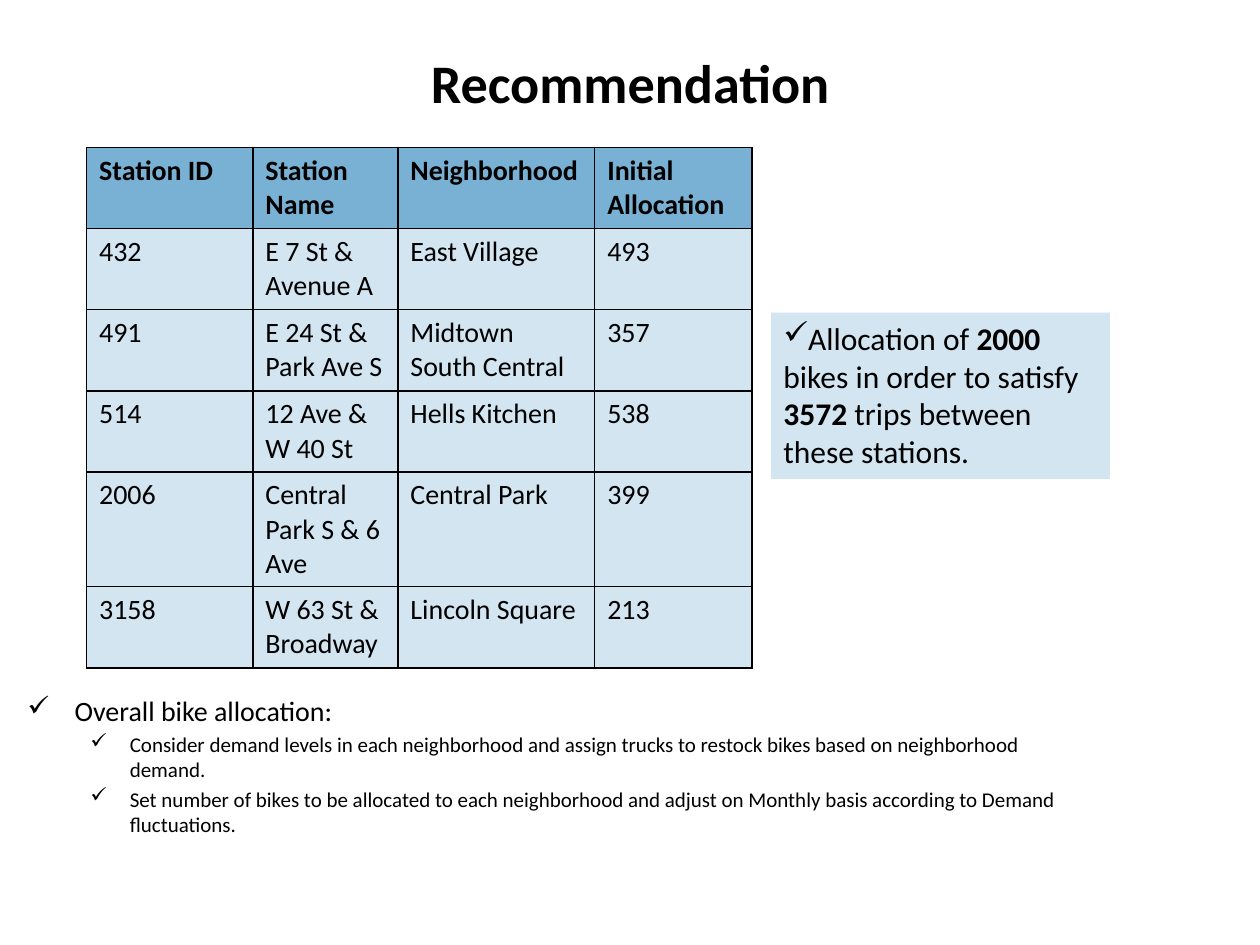
from pptx import Presentation
from pptx.dml.color import RGBColor
from pptx.enum.shapes import MSO_SHAPE
from pptx.enum.text import MSO_ANCHOR, PP_ALIGN
from pptx.oxml import parse_xml
from pptx.oxml.ns import nsdecls
from pptx.util import Pt

RECTANGLE = MSO_SHAPE.RECTANGLE
TOP, MIDDLE = MSO_ANCHOR.TOP, MSO_ANCHOR.MIDDLE
LEFT, CENTER = PP_ALIGN.LEFT, PP_ALIGN.CENTER

COLORS = {"text": "000000", "border": "000000", "header": "79B1D4", "panel": "D2E5F1"}
FONT = "Calibri"
CHECK = "✓"

TITLE = "Recommendation"
STATIONS = [
    ("Station ID", "Station Name", "Neighborhood", "Initial Allocation"),
    ("432", "E 7 St & Avenue A", "East Village", "493"),
    ("491", "E 24 St & Park Ave S", "Midtown South Central", "357"),
    ("514", "12 Ave & W 40 St", "Hells Kitchen", "538"),
    ("2006", "Central Park S & 6 Ave", "Central Park", "399"),
    ("3158", "W 63 St & Broadway", "Lincoln Square", "213"),
]
# Each callout run is (text, bold).
CALLOUT = [
    ("Allocation of ", False),
    ("2000", True),
    (" bikes in order to satisfy ", False),
    ("3572", True),
    (" trips between these stations.", False),
]
# Each item is (level, text).
ACTIONS = [
    (0, "Overall bike allocation:"),
    (1, "Consider demand levels in each neighborhood and assign trucks to restock "
        "bikes based on neighborhood demand."),
    (1, "Set number of bikes to be allocated to each neighborhood and adjust on "
        "Monthly basis according to Demand fluctuations."),
]
LEVELS = [
    {"size": 16, "margin": 27, "hanging": 27},
    {"size": 12, "margin": 58.5, "hanging": 22.5},
]

# left, top, width, height
TITLE_BOX = (139.5, 26.5, 441, 40.5)
TABLE_BOX = (49.5, 84.2, 380.2, 297.6)
ACTIONS_BOX = (8.6, 393, 603.4, 95)
CALLOUT_BOX = (440.6, 178.6, 193.7, 95)
COLUMN_WIDTHS = (95, 82.9, 112.5, 89.8)
ROW_HEIGHTS = (46.4, 46.4, 46.4, 46.4, 65.6, 46.4)


def points(values):
    return [Pt(value) for value in values]


def color(name):
    return RGBColor.from_string(COLORS[name])


def fill(target, name):
    target.fill.solid()
    target.fill.fore_color.rgb = color(name)


def add_run(paragraph, text, size, bold=False):
    run = paragraph.add_run()
    run.text = text
    font_format = {"name": FONT, "size": Pt(size), "bold": bold}
    for attribute, value in font_format.items():
        setattr(run.font, attribute, value)
    run.font.color.rgb = color("text")


def add_check(paragraph, margin=0, hanging=0):
    properties = paragraph._p.get_or_add_pPr()
    properties.set("marL", str(Pt(margin)))
    properties.set("indent", str(-Pt(hanging)))
    properties.append(parse_xml(f'<a:buChar {nsdecls("a")} char="{CHECK}"/>'))


def set_borders(cell, width=1):
    properties = cell._tc.get_or_add_tcPr()
    for index, side in enumerate("LRTB"):
        properties.insert(index, parse_xml(
            f'<a:ln{side} {nsdecls("a")} w="{Pt(width)}"><a:solidFill>'
            f'<a:srgbClr val="{COLORS["border"]}"/></a:solidFill></a:ln{side}>'))


def add_text_box(slide, box, anchor):
    frame = slide.shapes.add_textbox(*points(box)).text_frame
    frame.word_wrap = True
    frame.vertical_anchor = anchor
    return frame


def add_title(slide):
    paragraph = add_text_box(slide, TITLE_BOX, MIDDLE).paragraphs[0]
    paragraph.alignment = CENTER
    add_run(paragraph, TITLE, 31, bold=True)


def add_station_table(slide):
    table = slide.shapes.add_table(
        len(STATIONS), len(COLUMN_WIDTHS), *points(TABLE_BOX)).table
    for column, width in zip(table.columns, COLUMN_WIDTHS):
        column.width = Pt(width)
    for row_index, (row, height) in enumerate(zip(table.rows, ROW_HEIGHTS)):
        row.height = Pt(height)
        is_header = row_index == 0
        for cell, text in zip(row.cells, STATIONS[row_index]):
            add_run(cell.text_frame.paragraphs[0], text, 16, bold=is_header)
            fill(cell, "header" if is_header else "panel")
            set_borders(cell)


def add_actions(slide):
    frame = add_text_box(slide, ACTIONS_BOX, TOP)
    for index, (level, text) in enumerate(ACTIONS):
        style = LEVELS[level]
        paragraph = frame.add_paragraph() if index else frame.paragraphs[0]
        paragraph.level = level
        if index:
            paragraph.space_before = Pt(0.2 * style["size"])
        add_check(paragraph, style["margin"], style["hanging"])
        add_run(paragraph, text, style["size"])


def add_callout(slide):
    shape = slide.shapes.add_shape(RECTANGLE, *points(CALLOUT_BOX))
    shape.shadow.inherit = False
    fill(shape, "panel")
    shape.line.fill.background()
    frame = shape.text_frame
    frame.word_wrap = True
    frame.vertical_anchor = TOP
    paragraph = frame.paragraphs[0]
    paragraph.alignment = LEFT
    add_check(paragraph)
    for text, bold in CALLOUT:
        add_run(paragraph, text, 18, bold)


def main():
    presentation = Presentation()
    presentation.slide_width, presentation.slide_height = Pt(720), Pt(540)
    slide = presentation.slides.add_slide(presentation.slide_layouts[6])
    add_title(slide)
    add_station_table(slide)
    add_actions(slide)
    add_callout(slide)
    presentation.save("out.pptx")


if __name__ == "__main__":
    main()
